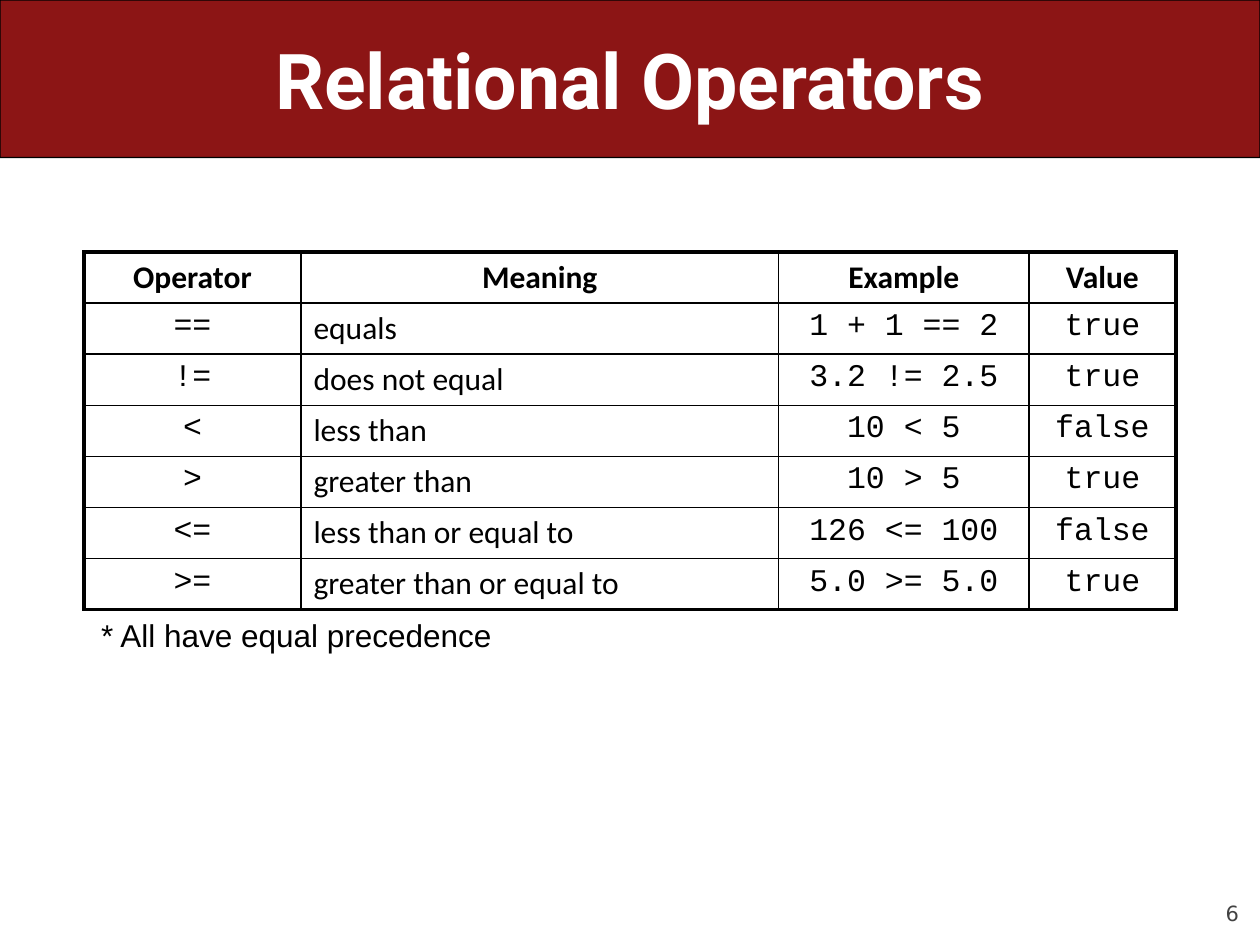
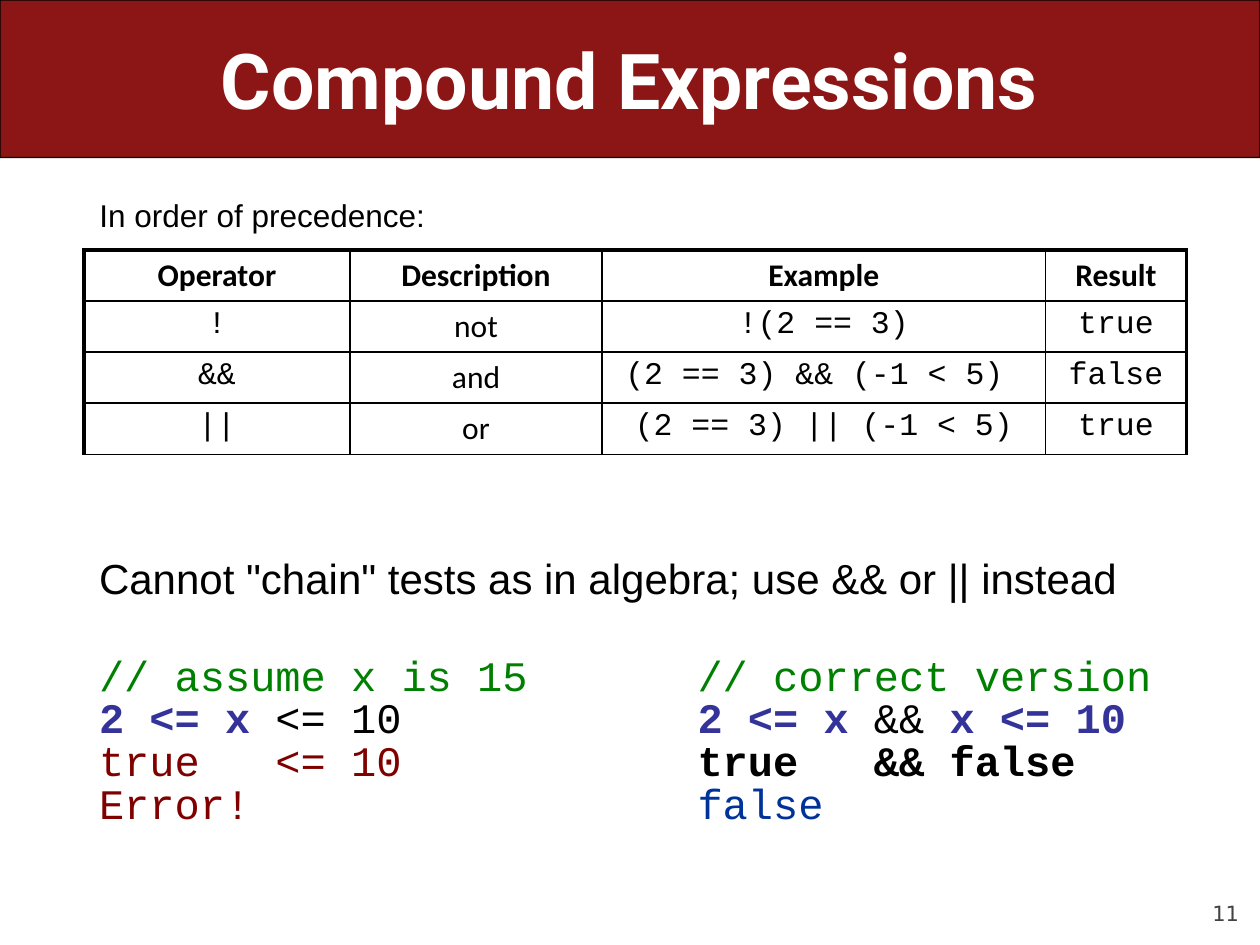
"""Build two slides on relational operators and compound expressions."""
from lxml import etree
from pptx import Presentation
from pptx.dml.color import RGBColor
from pptx.enum import shapes, text
from pptx.oxml import ns
from pptx.util import Pt

BLACK, WHITE, GREY, CARDINAL = "000000", "FFFFFF", "424242", "8C1515"
GREEN, INDIGO, MAROON, BLUE = "008000", "333399", "800000", "003399"
MONO = "Courier New"
LEFT, CENTER, RIGHT = text.PP_ALIGN.LEFT, text.PP_ALIGN.CENTER, text.PP_ALIGN.RIGHT
THIN, THICK = 1, 2.25
ROW_H = 29.2
CODE_TAB = 342
CODE_INDENT = 100.8


def style(font, name, size, color=BLACK, bold=False):
    """Set the typeface, size, colour and weight of a font."""
    font.name, font.size, font.bold = name, Pt(size), bold
    font.color.rgb = RGBColor.from_string(color)


def add_xml(parent, tag, index=None, **attrs):
    """Insert a DrawingML child element and return it."""
    child = etree.Element(ns.qn(tag), {k: str(v) for k, v in attrs.items()})
    parent.insert(len(parent) if index is None else index, child)
    return child


slides = [
    dict(title="Relational Operators", number="6",
         top=144, widths=[124, 273, 143, 84], text_align=LEFT, bottom=THICK,
         note=("* All have equal precedence", 48, 348.5, 240),
         rows=[("Operator", "Meaning", "Example", "Value"),
               ("==", "equals", "1 + 1 == 2", "true"),
               ("!=", "does not equal", "3.2 != 2.5", "true"),
               ("<", "less than", "10 < 5", "false"),
               (">", "greater than", "10 > 5", "true"),
               ("<=", "less than or equal to", "126 <= 100", "false"),
               (">=", "greater than or equal to", "5.0 >= 5.0", "true")]),
    dict(title="Compound Expressions", number="11",
         top=142.8, widths=[152, 144, 253.5, 80.5], text_align=CENTER, bottom=THIN,
         note=("In order of precedence:", 47.5, 108.7, 202.5),
         rows=[("Operator", "Description", "Example", "Result"),
               ("!", "not", "!(2 == 3)", "true"),
               ("&&", "and", "(2 == 3) && (-1 < 5) ", "false"),
               ("||", "or", "(2 == 3) || (-1 < 5)", "true")]),
]

prs = Presentation()
prs.slide_width, prs.slide_height = Pt(720), Pt(540)

for data in slides:
    s = prs.slides.add_slide(prs.slide_layouts[5])

    band = s.shapes.add_shape(shapes.MSO_SHAPE.ROUNDED_RECTANGLE, 0, 0, Pt(720), Pt(90))
    band.adjustments[0] = 0.001
    band.shadow.inherit = False
    band.fill.solid()
    band.fill.fore_color.rgb = RGBColor.from_string(CARDINAL)
    band.line.color.rgb = RGBColor.from_string(BLACK)
    band.line.width = Pt(0.75)

    title = s.shapes.title
    s.shapes._spTree.append(title._element)
    title.left, title.top, title.width, title.height = Pt(36), 0, Pt(648), Pt(90)
    tf = title.text_frame
    tf.text = data["title"]
    tf.vertical_anchor = text.MSO_ANCHOR.MIDDLE
    tf.paragraphs[0].alignment = CENTER
    style(tf.paragraphs[0].font, "Roboto", 44, WHITE, True)

    tf = s.shapes.add_textbox(Pt(648), Pt(500.4), Pt(60), Pt(28.8)).text_frame
    tf.margin_left = tf.margin_right = tf.margin_top = tf.margin_bottom = 0
    tf.vertical_anchor = text.MSO_ANCHOR.BOTTOM
    tf.word_wrap = True
    p = tf.paragraphs[0]
    p.text, p.alignment = data["number"], RIGHT
    style(p.font, "DejaVu Sans", 12, GREY)

    rows, widths = data["rows"], data["widths"]
    table = s.shapes.add_table(len(rows), len(widths), Pt(48), Pt(data["top"]),
                               Pt(sum(widths)), Pt(ROW_H * len(rows))).table
    table.first_row = table.horz_banding = False
    for column, width in zip(table.columns, widths):
        column.width = Pt(width)
    for i, row in enumerate(rows):
        table.rows[i].height = Pt(ROW_H)
        for j, value in enumerate(row):
            cell = table.cell(i, j)
            cell.fill.background()
            p = cell.text_frame.paragraphs[0]
            p.text = value
            p.alignment = data["text_align"] if i and j == 1 else CENTER
            style(p.font, MONO if i and j != 1 else "Calibri", 18, bold=i == 0)
            borders = {
                "a:lnL": THICK if j == 0 else THIN,
                "a:lnR": THICK if j == len(widths) - 1 else THIN,
                "a:lnT": THICK if i == 0 else THIN,
                "a:lnB": data["bottom"] if i == len(rows) - 1 else THIN,
            }
            for k, (tag, width) in enumerate(borders.items()):
                ln = add_xml(cell._tc.get_or_add_tcPr(), tag, k, w=Pt(width))
                add_xml(add_xml(ln, "a:solidFill"), "a:srgbClr", val=BLACK)

    note, left, top, width = data["note"]
    tf = s.shapes.add_textbox(Pt(left), Pt(top), Pt(width), Pt(29)).text_frame
    tf.word_wrap = False
    p = tf.paragraphs[0]
    p.text, p.alignment = note, RIGHT
    style(p.font, "Arial", 18)

code_lines = [
    [("// assume x is 15\t// correct version", GREEN, False)],
    [("2 <= x", INDIGO, True), (" <= 10\t", BLACK, False), ("2 <= x", INDIGO, True),
     (" && ", BLACK, False), ("x <= 10", INDIGO, True)],
    [("true\t<= 10\t", MAROON, False), ("true\t&& false", BLACK, True)],
    [("Error!\t", MAROON, False), ("false", BLUE, False)],
]
indented_line = 2

tf = s.shapes.add_textbox(Pt(49.5), Pt(312), Pt(621.5), Pt(180)).text_frame
tf.word_wrap = True
p = tf.paragraphs[0]
p.text = 'Cannot "chain" tests as in algebra; use && or || instead'
style(p.font, "Arial", 24)
for i, line in enumerate(code_lines):
    p = tf.add_paragraph()
    p.line_spacing = 0.85
    p.space_before = Pt(0 if i else 31)
    stops = [CODE_TAB]
    if i == indented_line:
        stops = [CODE_INDENT, CODE_TAB, CODE_TAB + CODE_INDENT]
    tabs = add_xml(p._p.get_or_add_pPr(), "a:tabLst")
    for stop in stops:
        add_xml(tabs, "a:tab", pos=Pt(stop), algn="l")
    for value, color, bold in line:
        r = p.add_run()
        r.text = value
        style(r.font, MONO, 24, color, bold)

prs.save("out.pptx")
